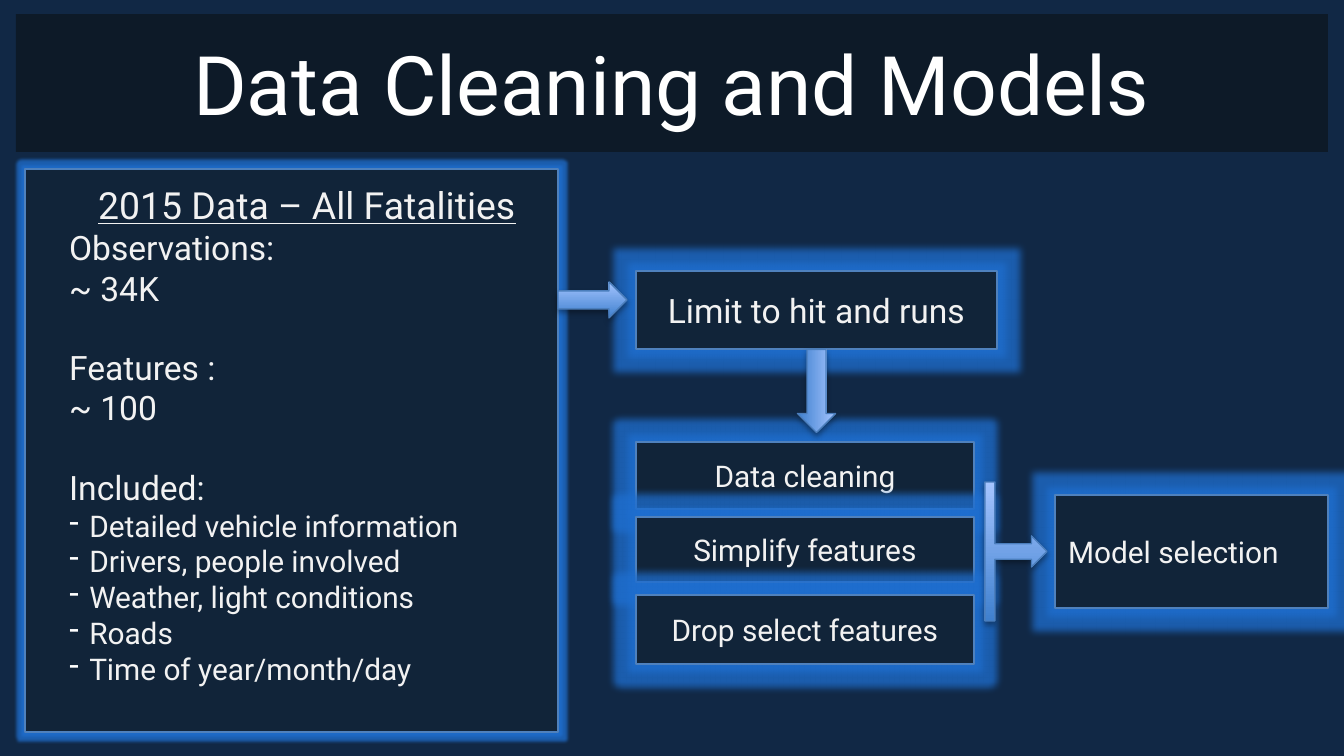
from lxml.etree import SubElement
from pptx import Presentation
from pptx.dml.color import RGBColor
from pptx.enum.shapes import MSO_SHAPE
from pptx.enum.text import MSO_ANCHOR, MSO_AUTO_SIZE, PP_ALIGN
from pptx.oxml.ns import qn
from pptx.util import Emu, Inches, Pt

EMU_PER_PX = 914400 / 134.4
FONT = "Roboto"
BACKGROUND, TITLE_FILL, BOX_FILL = "112845", "0D1A28", "112439"
WHITE, TEXT, BOX_LINE = "FFFFFF", "F2F2F2", "4F81BD"
ARROW_LINE, ARROW_DARK, ARROW_LIGHT = "4B7EBC", "3F80CE", "A4C4FF"
GLOW = "1F6FD0"

FACTS = ["Observations:", "~ 34K", "Features :", "~ 100", "Included:"]
GROUP_STARTS = ("Features :", "Included:")
INCLUDED = [
    "Detailed vehicle information",
    "Drivers, people involved",
    "Weather, light conditions",
    "Roads",
    "Time of year/month/day",
]
STEPS = [
    ("Limit to hit and runs", (636, 271, 361, 78), 18, PP_ALIGN.CENTER),
    ("Data cleaning", (636, 442, 338, 67), 16, PP_ALIGN.CENTER),
    ("Simplify features", (636, 517, 338, 65), 16, PP_ALIGN.CENTER),
    ("Drop select features", (636, 595, 338, 69), 16, PP_ALIGN.CENTER),
    ("Model selection", (1055, 495, 273, 113), 16, PP_ALIGN.JUSTIFY),
]


def px(length):
    return Emu(round(length * EMU_PER_PX))


def color(hex_string):
    return RGBColor.from_string(hex_string)


def fill_solid(item, hex_string):
    item.fill.solid()
    item.fill.fore_color.rgb = color(hex_string)


def outline(shape, hex_string):
    shape.line.color.rgb = color(hex_string)
    shape.line.width = Pt(0.75)


def add_effect(shape, tag, hex_string, alpha, **attributes):
    """Give the shape one effect, such as a glow or an outer shadow."""
    shape.shadow.inherit = False
    effects = shape._element.spPr.find(qn("a:effectLst"))
    effect = SubElement(effects, qn(tag), attributes)
    effect_color = SubElement(effect, qn("a:srgbClr"), val=hex_string)
    SubElement(effect_color, qn("a:alpha"), val=str(alpha * 1000))


def prepare_text(shape, anchor):
    frame = shape.text_frame
    frame.word_wrap = True
    frame.auto_size = MSO_AUTO_SIZE.NONE
    frame.vertical_anchor = anchor
    frame.margin_left = frame.margin_right = Inches(0.1)
    frame.margin_top = frame.margin_bottom = Inches(0.1)
    return frame


def write(paragraph, text, size, hex_string=TEXT, align=PP_ALIGN.LEFT):
    paragraph.text = text
    paragraph.alignment = align
    font = paragraph.runs[0].font
    font.name = FONT
    font.size = Pt(size)
    font.color.rgb = color(hex_string)
    return font


def indent(paragraph, bullet=None):
    """Apply the hanging indent, with a white bullet if one is given."""
    properties = paragraph._p.get_or_add_pPr()
    properties.set("marL", str(Inches(0.38)))
    properties.set("indent", str(Inches(-0.15)))
    if bullet:
        bullet_color = SubElement(properties, qn("a:buClr"))
        SubElement(bullet_color, qn("a:srgbClr"), val=WHITE)
        SubElement(properties, qn("a:buChar"), char=bullet)


def add_title(slide, text):
    title = slide.shapes.title
    title.left, title.top, title.width, title.height = map(px, (16, 14, 1312, 138))
    fill_solid(title, TITLE_FILL)
    frame = prepare_text(title, MSO_ANCHOR.MIDDLE)
    write(frame.paragraphs[0], text, 44, WHITE, PP_ALIGN.CENTER)


def add_box(slide, bounds, glow_points, anchor=MSO_ANCHOR.MIDDLE):
    box = slide.shapes.add_shape(MSO_SHAPE.RECTANGLE, *map(px, bounds))
    fill_solid(box, BOX_FILL)
    outline(box, BOX_LINE)
    add_effect(box, "a:glow", GLOW, 75, rad=str(Pt(glow_points)))
    return prepare_text(box, anchor)


def add_data_panel(slide):
    frame = add_box(slide, (25, 169, 533, 563), 3, MSO_ANCHOR.TOP)
    heading = frame.paragraphs[0]
    font = write(heading, "2015 Data – All Fatalities", 20, align=PP_ALIGN.CENTER)
    font.underline = True
    indent(heading)
    for text in FACTS:
        paragraph = frame.add_paragraph()
        write(paragraph, text, 18)
        indent(paragraph)
        if text in GROUP_STARTS:
            paragraph.space_before = Pt(21)
    for text in INCLUDED:
        paragraph = frame.add_paragraph()
        write(paragraph, text, 16)
        indent(paragraph, "-")


def add_arrow(slide, kind, bounds, rotation=0):
    arrow = slide.shapes.add_shape(kind, *map(px, bounds))
    arrow.rotation = rotation
    arrow.fill.gradient()
    arrow.fill.gradient_angle = 90
    for stop, hex_string in zip(arrow.fill.gradient_stops, (ARROW_DARK, ARROW_LIGHT)):
        stop.color.rgb = color(hex_string)
    outline(arrow, ARROW_LINE)
    add_effect(arrow, "a:outerShdw", "000000", 35, blurRad=str(Pt(3.1)),
               dist=str(Pt(1.8)), dir="5400000", rotWithShape="0")
    return arrow


def main():
    presentation = Presentation()
    presentation.slide_width = px(1344)
    presentation.slide_height = px(756)
    slide = presentation.slides.add_slide(presentation.slide_layouts[5])
    fill_solid(slide.background, BACKGROUND)

    add_title(slide, "Data Cleaning and Models")
    add_data_panel(slide)
    for text, bounds, size, align in STEPS:
        frame = add_box(slide, bounds, 8)
        write(frame.paragraphs[0], text, size, align=align)

    add_arrow(slide, MSO_SHAPE.RIGHT_ARROW, (558, 282, 69, 36))
    add_arrow(slide, MSO_SHAPE.RIGHT_ARROW, (775, 372, 83, 38), rotation=90)
    merge = add_arrow(slide, MSO_SHAPE.RIGHT_ARROW_CALLOUT, (985, 482, 62, 139))
    merge.adjustments[3] = 0.16

    presentation.save("out.pptx")


if __name__ == "__main__":
    main()
